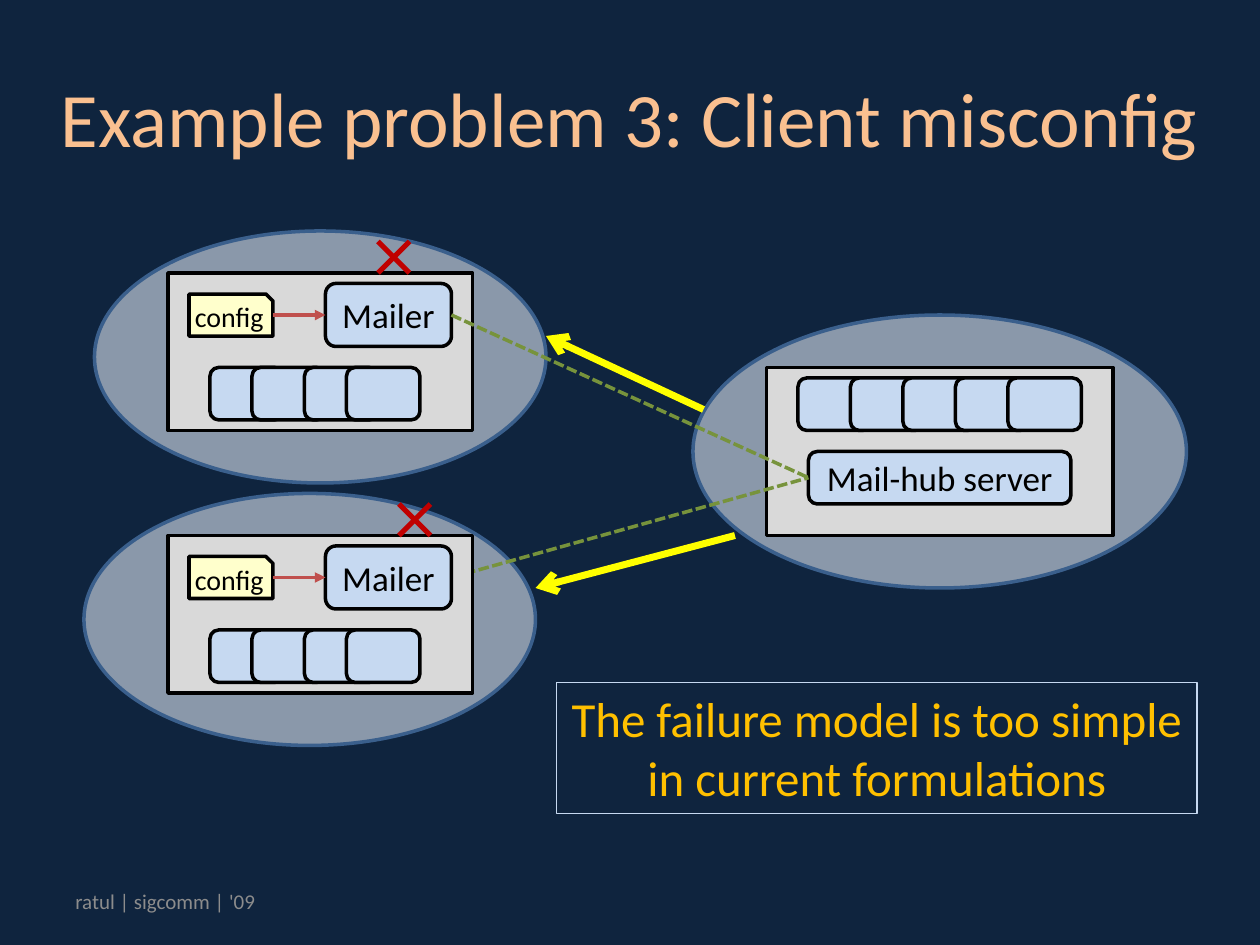
from lxml import etree
from pptx import Presentation
from pptx import util as u
from pptx.dml.color import RGBColor
from pptx.enum import dml, shapes, text
from pptx.oxml import ns

THEME = {
    "font": "Calibri",
    "background": "0F243E", "title": "FAC090", "footer": "8C8C8C", "note": "FFC000",
    "site": "DCE6F2", "site_line": "3A5F8C", "panel": "D9D9D9", "box": "C6D9F1",
    "config": "FFFFCC", "ink": "000000", "session": "77933C", "failure": "C00000",
    "reads": "C0504D", "traffic": "FFFF00",
    "title_size": 44, "note_size": 28, "box_size": 20, "config_size": 16, "footer_size": 12,
}

TITLE = ("Example problem 3: Client misconfig", (3, 3.6, 114, 15))
FOOTER = ("ratul | sigcomm | '09", (6, 83.4, 37, 4.8))
NOTE = ("The failure model is too simple in current formulations", (53, 65, 61, 12.5))
SITES = [(8, 47, 43, 24), (9, 22, 43, 24), (66, 30, 47, 26)]
SERVER = {"panel": (73, 35, 33, 16), "box": (77, 43, 25, 5), "label": "Mail-hub server",
          "tiles": [76, 81, 86, 91, 96], "tile_top": 36}
CLIENT = {"panel": (16, 26, 29, 15), "box": (31, 27, 12, 6), "label": "Mailer",
          "tiles": [20, 24, 29, 33], "tile_top": 35, "config": (18, 28, 8, 4)}
UPPER_CLIENT = {"drop": 0, "cross": (36, 23)}
LOWER_CLIENT = {"drop": 25, "cross": (38, 48)}
CROSS_SIZE = 3
TILE_SIZE = (7, 5)
UPPER_SESSION = ((43, 30), (77, 45.5))
LOWER_SESSION = ((43, 55), (77, 45.5))
TRAFFIC = [((67, 39), (52, 32)), ((70, 51), (51, 56))]


def grid(steps):
    return u.Cm(steps * 2.54 / 12)


def color(name):
    return RGBColor.from_string(THEME[name])


def write(shape, words, size, tint, align=text.PP_ALIGN.CENTER, anchor=text.MSO_ANCHOR.MIDDLE,
          inset=None):
    frame = shape.text_frame
    frame.word_wrap = True
    frame.vertical_anchor = anchor
    if inset is not None:
        frame.margin_left = frame.margin_right = frame.margin_top = frame.margin_bottom = inset
    paragraph = frame.paragraphs[0]
    paragraph.alignment = align
    run = paragraph.add_run()
    run.text = words
    run.font.name = THEME["font"]
    run.font.size = u.Pt(THEME[size])
    run.font.color.rgb = color(tint)


def add_block(slide, kind, place, fill=None, line="ink", width=2):
    shape = slide.shapes.add_shape(kind, *map(grid, place))
    shape.shadow.inherit = False
    if fill:
        shape.fill.solid()
        shape.fill.fore_color.rgb = color(fill)
    else:
        shape.fill.background()
    shape.line.color.rgb = color(line)
    shape.line.width = u.Pt(width)
    return shape


def add_line(slide, start, end, tint, width, head=None, dash=None):
    connector = slide.shapes.add_connector(
        shapes.MSO_CONNECTOR.STRAIGHT, *map(grid, (*start, *end)))
    connector.line.color.rgb = color(tint)
    connector.line.width = u.Pt(width)
    if dash:
        connector.line.dash_style = dash
    if head:
        etree.SubElement(connector.get_or_add_ln(), ns.qn("a:tailEnd"), type=head)
    etree.SubElement(connector._element.spPr, ns.qn("a:effectLst"))


def add_site(slide, place):
    ellipse = add_block(slide, shapes.MSO_SHAPE.OVAL, place, "site", "site_line")
    fill = ellipse._element.spPr.find(ns.qn("a:solidFill"))
    etree.SubElement(fill[0], ns.qn("a:alpha"), val="60000")


def add_machine(slide, machine, drop=0):
    def lowered(place):
        left, top, *size = place
        return (left, top + drop, *size)

    rounded = shapes.MSO_SHAPE.ROUNDED_RECTANGLE
    add_block(slide, shapes.MSO_SHAPE.RECTANGLE, lowered(machine["panel"]), "panel")
    box = add_block(slide, rounded, lowered(machine["box"]), "box")
    write(box, machine["label"], "box_size", "ink", inset=0)
    for left in machine["tiles"]:
        add_block(slide, rounded, lowered((left, machine["tile_top"], *TILE_SIZE)), "box")
    if "config" in machine:
        left, top, width, height = lowered(machine["config"])
        config = add_block(slide, shapes.MSO_SHAPE.SNIP_1_RECTANGLE,
                           (left, top, width, height), "config")
        write(config, "config", "config_size", "ink", inset=0)
        middle = top + height / 2
        add_line(slide, (left + width, middle), (machine["box"][0], middle),
                 "reads", 2, "triangle")


def add_client(slide, client):
    add_machine(slide, CLIENT, client["drop"])
    left, top = client["cross"]
    right, bottom = left + CROSS_SIZE, top + CROSS_SIZE
    add_line(slide, (left, top), (right, bottom), "failure", 3)
    add_line(slide, (left, bottom), (right, top), "failure", 3)


def add_session(slide, ends):
    add_line(slide, *ends, "session", 2, dash=dml.MSO_LINE.SQUARE_DOT)


def main():
    presentation = Presentation()
    presentation.slide_width, presentation.slide_height = grid(120), grid(90)
    slide = presentation.slides.add_slide(presentation.slide_layouts[5])
    slide.background.fill.solid()
    slide.background.fill.fore_color.rgb = color("background")

    title = slide.shapes.title
    words, place = TITLE
    title.left, title.top, title.width, title.height = map(grid, place)
    write(title, words, "title_size", "title")

    for site in SITES:
        add_site(slide, site)
    add_machine(slide, SERVER)
    add_session(slide, LOWER_SESSION)
    add_client(slide, LOWER_CLIENT)
    add_client(slide, UPPER_CLIENT)
    add_session(slide, UPPER_SESSION)
    for start, end in TRAFFIC:
        add_line(slide, start, end, "traffic", 4, "arrow")

    words, place = NOTE
    note = add_block(slide, shapes.MSO_SHAPE.RECTANGLE, place, line="box", width=0.75)
    write(note, words, "note_size", "note", anchor=text.MSO_ANCHOR.TOP)
    words, place = FOOTER
    footer = slide.shapes.add_textbox(*map(grid, place))
    write(footer, words, "footer_size", "footer", align=text.PP_ALIGN.LEFT)
    presentation.save("out.pptx")


if __name__ == "__main__":
    main()
